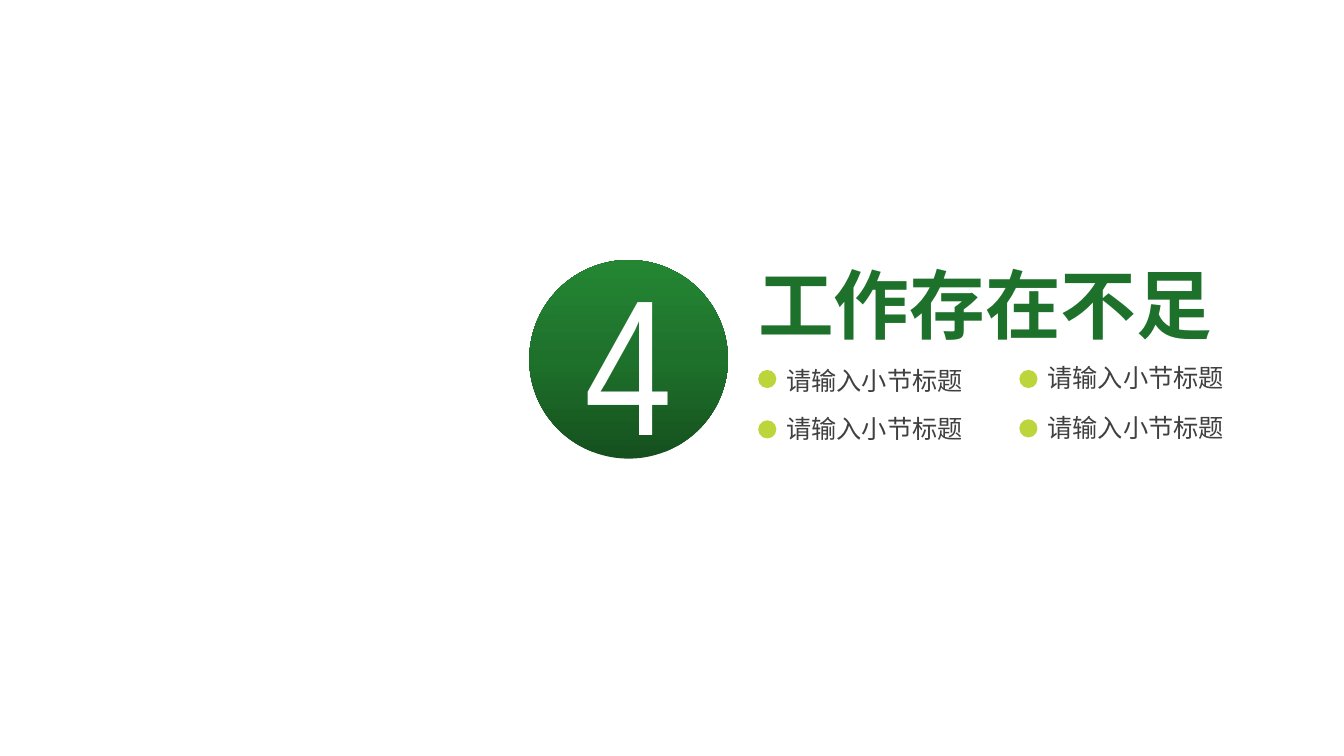
import copy
from dataclasses import dataclass

import pptx
import pptx.dml.color
import pptx.dml.fill
import pptx.enum.shapes
import pptx.enum.text
import pptx.oxml.ns
import pptx.shapes.autoshape
import pptx.slide
import pptx.text.text
import pptx.util
from lxml import etree

EMU_PER_PX = 9144  # 100 px to the inch
RGBColor = pptx.dml.color.RGBColor
WHITE = RGBColor(0xFF, 0xFF, 0xFF)
LIME = RGBColor(0xBB, 0xD5, 0x3B)
GREY = RGBColor(0x40, 0x40, 0x40)
GREENS = (
    RGBColor(0x15, 0x50, 0x1E),
    RGBColor(0x1E, 0x71, 0x2B),
    RGBColor(0x24, 0x86, 0x33),
)
CHINESE_FONT = "Noto Sans CJK SC"
NUMBER_FONT = "Arial Narrow"
DOT_SIZE = 18
LABEL_OFFSET = 18


@dataclass(frozen=True)
class Section:
    label: str
    left: int
    dot_top: int
    label_top: int


SECTIONS = (
    Section("请输入小节标题", 1011, 367, 355),
    Section("请输入小节标题", 752, 367, 358),
    Section("请输入小节标题", 752, 417, 405),
    Section("请输入小节标题", 1011, 416, 404),
)


def px(length: int) -> pptx.util.Emu:
    return pptx.util.Emu(length * EMU_PER_PX)


def fill_green_gradient(fill: pptx.dml.fill.FillFormat, owner: etree._Element) -> None:
    """Fill from dark at the bottom to light at the top; owner holds the fill's XML."""
    fill.gradient()
    fill.gradient_angle = 90
    stop_list = next(owner.iter(pptx.oxml.ns.qn("a:gsLst")))
    stop_list.insert(1, copy.deepcopy(stop_list[0]))
    for index, (stop, color) in enumerate(zip(fill.gradient_stops, GREENS)):
        stop.position = index / 2
        stop.color.rgb = color


def set_font(span: pptx.text.text._Run, name: str, size: int) -> None:
    """Set the typeface for both Latin and East Asian text."""
    span.font.size = pptx.util.Pt(size)
    span.font.name = name
    east_asian = etree.SubElement(span.font._element, pptx.oxml.ns.qn("a:ea"))
    east_asian.set("typeface", name)


def add_circle(shapes, left: int, top: int, size: int) -> pptx.shapes.autoshape.Shape:
    circle = shapes.add_shape(
        pptx.enum.shapes.MSO_SHAPE.OVAL, px(left), px(top), px(size), px(size)
    )
    circle.shadow.inherit = False
    circle.line.fill.background()
    return circle


def add_title(page: pptx.slide.Slide) -> None:
    title = page.shapes.title
    title.left, title.top, title.width, title.height = px(742), px(251), px(475), px(101)
    frame = title.text_frame
    frame.text = "工作存在不足"
    frame.word_wrap = False
    frame.auto_size = pptx.enum.text.MSO_AUTO_SIZE.SHAPE_TO_FIT_TEXT
    frame.vertical_anchor = pptx.enum.text.MSO_ANCHOR.TOP
    para = frame.paragraphs[0]
    para.alignment = pptx.enum.text.PP_ALIGN.LEFT
    span = para.runs[0]
    span.font.bold = True
    fill_green_gradient(span.font.fill, span._r)
    set_font(span, CHINESE_FONT, 54)


def add_section(page: pptx.slide.Slide, section: Section) -> None:
    group = page.shapes.add_group_shape()
    dot = add_circle(group.shapes, section.left, section.dot_top, DOT_SIZE)
    dot.fill.solid()
    dot.fill.fore_color.rgb = LIME
    box = group.shapes.add_textbox(
        px(section.left + LABEL_OFFSET), px(section.label_top), px(197), px(40)
    )
    box.text_frame.text = section.label
    box.text_frame.word_wrap = False
    span = box.text_frame.paragraphs[0].runs[0]
    span.font.color.rgb = GREY
    set_font(span, CHINESE_FONT, 18)


def add_chapter_number(page: pptx.slide.Slide) -> None:
    disc = add_circle(page.shapes, 525, 258, 197)
    fill_green_gradient(disc.fill, disc._element)
    box = page.shapes.add_textbox(px(565), px(235), px(117), px(242))
    box.text_frame.text = "4"
    box.text_frame.word_wrap = True
    para = box.text_frame.paragraphs[0]
    para.alignment = pptx.enum.text.PP_ALIGN.CENTER
    span = para.runs[0]
    span.font.color.rgb = WHITE
    set_font(span, NUMBER_FONT, 138)


def main() -> None:
    deck = pptx.Presentation()
    deck.slide_width, deck.slide_height = px(1333), px(750)
    page = deck.slides.add_slide(deck.slide_layouts.get_by_name("Title Only"))
    add_title(page)
    for section in SECTIONS:
        add_section(page, section)
    add_chapter_number(page)
    deck.save("out.pptx")


if __name__ == "__main__":
    main()
